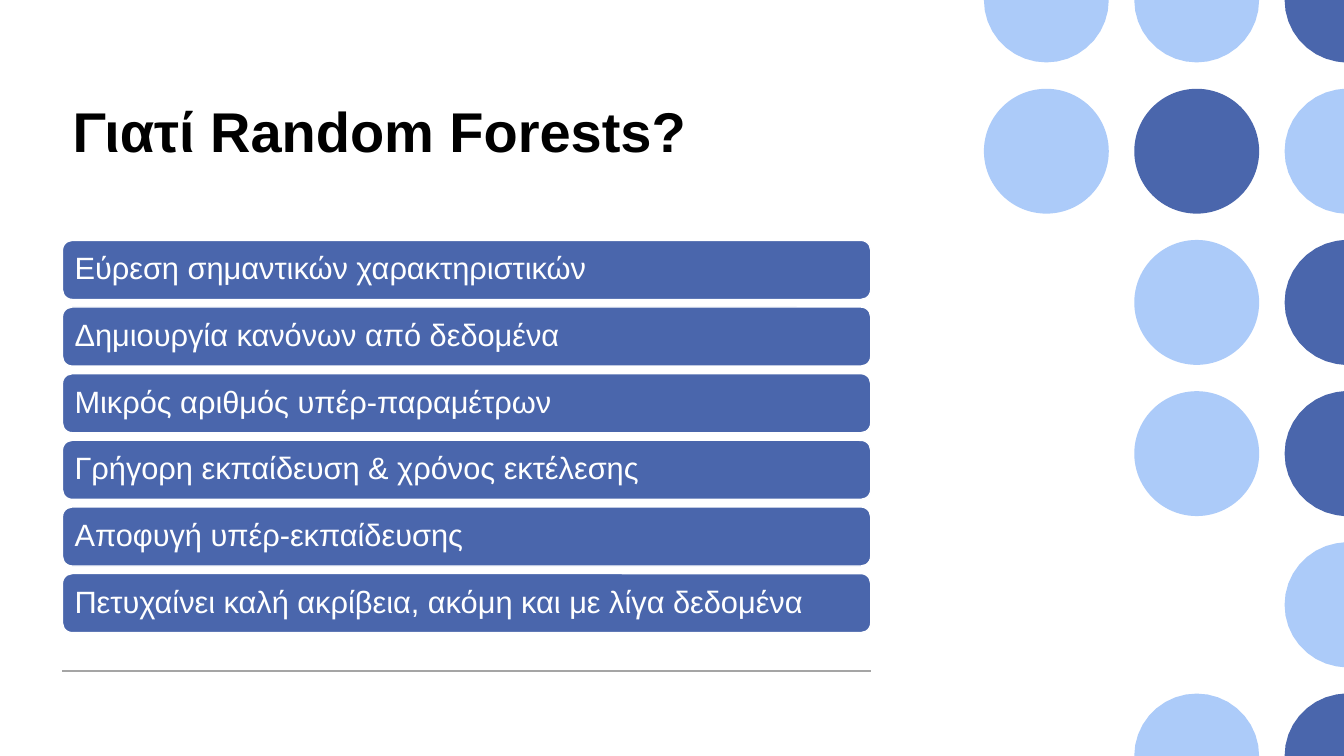
import math

import pptx
import pptx.dml.color
import pptx.enum.shapes
import pptx.enum.text
import pptx.util
from lxml import etree
from pptx.oxml.ns import qn

Pt = pptx.util.Pt
WIDTH, HEIGHT = 960, 540
COLORS = {"dark": "4A66AC", "light": "ACCBF9", "rule": "A5A5A5",
          "white": "FFFFFF", "black": "000000"}
CONTENT_LEFT, CONTENT_WIDTH = 44.6, 577.4
BAR_TOP, BAR_HEIGHT, BAR_PITCH = 171.7, 42.2, 47.6
CIRCLE_LEFT, CIRCLE_PITCH_X, CIRCLE_PITCH_Y, RADIUS = 747.4, 107.4, 108, 44.6
REASONS = [
    "Εύρεση σημαντικών χαρακτηριστικών",
    "Δημιουργία κανόνων από δεδομένα",
    "Μικρός αριθμός υπέρ-παραμέτρων",
    "Γρήγορη εκπαίδευση & χρόνος εκτέλεσης",
    "Αποφυγή υπέρ-εκπαίδευσης",
    "Πετυχαίνει καλή ακρίβεια, ακόμη και με λίγα δεδομένα",
]
CIRCLE_ROWS = [
    ["light", "light", "dark"],
    ["light", "dark", "light"],
    [None, "light", "dark"],
    [None, "light", "dark"],
    [None, None, "light"],
    [None, "light", "dark"],
]


def color(name):
    return pptx.dml.color.RGBColor.from_string(COLORS[name])


def write_text(shape, text, *, size, color_name, bold=False, anchor="TOP",
               spacing=1.0, margins=(7.2, 3.6)):
    frame = shape.text_frame
    frame.word_wrap = True
    frame.auto_size = pptx.enum.text.MSO_AUTO_SIZE.NONE
    frame.vertical_anchor = pptx.enum.text.MSO_ANCHOR[anchor]
    frame.margin_left = frame.margin_right = Pt(margins[0])
    frame.margin_top = frame.margin_bottom = Pt(margins[1])
    paragraph = frame.paragraphs[0]
    paragraph.alignment = pptx.enum.text.PP_ALIGN.LEFT
    paragraph.line_spacing = spacing
    run = paragraph.add_run()
    run.text = text
    run.font.name = "Arial"
    run.font.size = Pt(size)
    run.font.bold = bold
    run.font.color.rgb = color(color_name)


def fill_shape(shape, color_name):
    shape.shadow.inherit = False
    shape.fill.solid()
    shape.fill.fore_color.rgb = color(color_name)
    shape.line.fill.background()


def add_full_circle(slide, center_x, center_y):
    return slide.shapes.add_shape(
        pptx.enum.shapes.MSO_SHAPE.OVAL, Pt(center_x - RADIUS),
        Pt(center_y - RADIUS), Pt(2 * RADIUS), Pt(2 * RADIUS))


def add_cut_circle(slide, center_x, center_y, cut_right, cut_top, cut_bottom):
    start = 180 if cut_bottom else 90 if cut_right else 0
    end = 180 if cut_top else 270 if cut_right else 360
    points = []
    for degree in range(start, end + 1, 10):
        angle = math.radians(degree)
        x = min(center_x + RADIUS * math.cos(angle), WIDTH)
        points.append((Pt(x), Pt(center_y + RADIUS * math.sin(angle))))
    if cut_right and (cut_top or cut_bottom):
        points.append((Pt(WIDTH), Pt(center_y)))
    builder = slide.shapes.build_freeform(*points[0])
    builder.add_line_segments(points[1:], close=True)
    return builder.convert_to_shape()


def add_circle_grid(slide):
    for row, names in enumerate(CIRCLE_ROWS):
        for column, name in enumerate(names):
            if not name:
                continue
            center_x = CIRCLE_LEFT + column * CIRCLE_PITCH_X
            center_y = row * CIRCLE_PITCH_Y
            cuts = (center_x > WIDTH, center_y == 0, center_y == HEIGHT)
            if any(cuts):
                circle = add_cut_circle(slide, center_x, center_y, *cuts)
            else:
                circle = add_full_circle(slide, center_x, center_y)
            fill_shape(circle, name)


def add_rule(slide, top):
    rule = slide.shapes.add_connector(
        pptx.enum.shapes.MSO_CONNECTOR.STRAIGHT, Pt(CONTENT_LEFT), Pt(top),
        Pt(CONTENT_LEFT + CONTENT_WIDTH), Pt(top))
    rule.line.color.rgb = color("rule")
    rule.line.width = Pt(1)
    etree.SubElement(rule._element.spPr, qn("a:effectLst"))


def add_title(slide, text):
    title = slide.shapes.title
    title.left, title.top = Pt(CONTENT_LEFT), Pt(60.5)
    title.width, title.height = Pt(CONTENT_WIDTH), Pt(100)
    write_text(title, text, size=40, color_name="black", bold=True, spacing=1.1)


def add_reason_bar(slide, index, text):
    bar = slide.shapes.add_shape(
        pptx.enum.shapes.MSO_SHAPE.ROUNDED_RECTANGLE, Pt(CONTENT_LEFT),
        Pt(BAR_TOP + index * BAR_PITCH), Pt(CONTENT_WIDTH), Pt(BAR_HEIGHT))
    bar.adjustments[0] = 0.167
    fill_shape(bar, "dark")
    bar.line.color.rgb = color("white")
    bar.line.width = Pt(1)
    write_text(bar, text, size=22, color_name="white", anchor="MIDDLE",
               spacing=0.9, margins=(6.6, 6.6))


def main():
    presentation = pptx.Presentation()
    presentation.slide_width, presentation.slide_height = Pt(WIDTH), Pt(HEIGHT)
    slide = presentation.slides.add_slide(presentation.slide_layouts[5])
    add_circle_grid(slide)
    add_rule(slide, 479.3)
    add_title(slide, "Γιατί Random Forests?")
    for index, reason in enumerate(REASONS):
        add_reason_bar(slide, index, reason)
    presentation.save("out.pptx")


if __name__ == "__main__":
    main()
